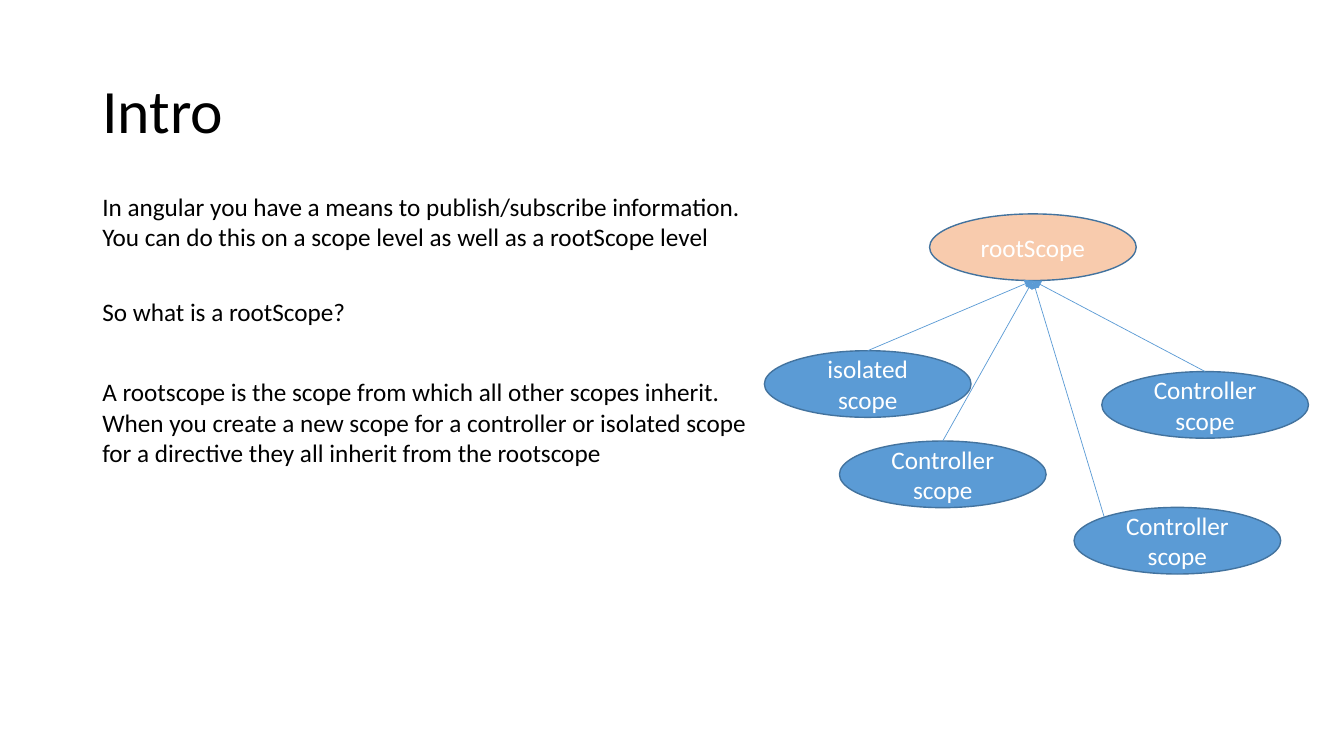
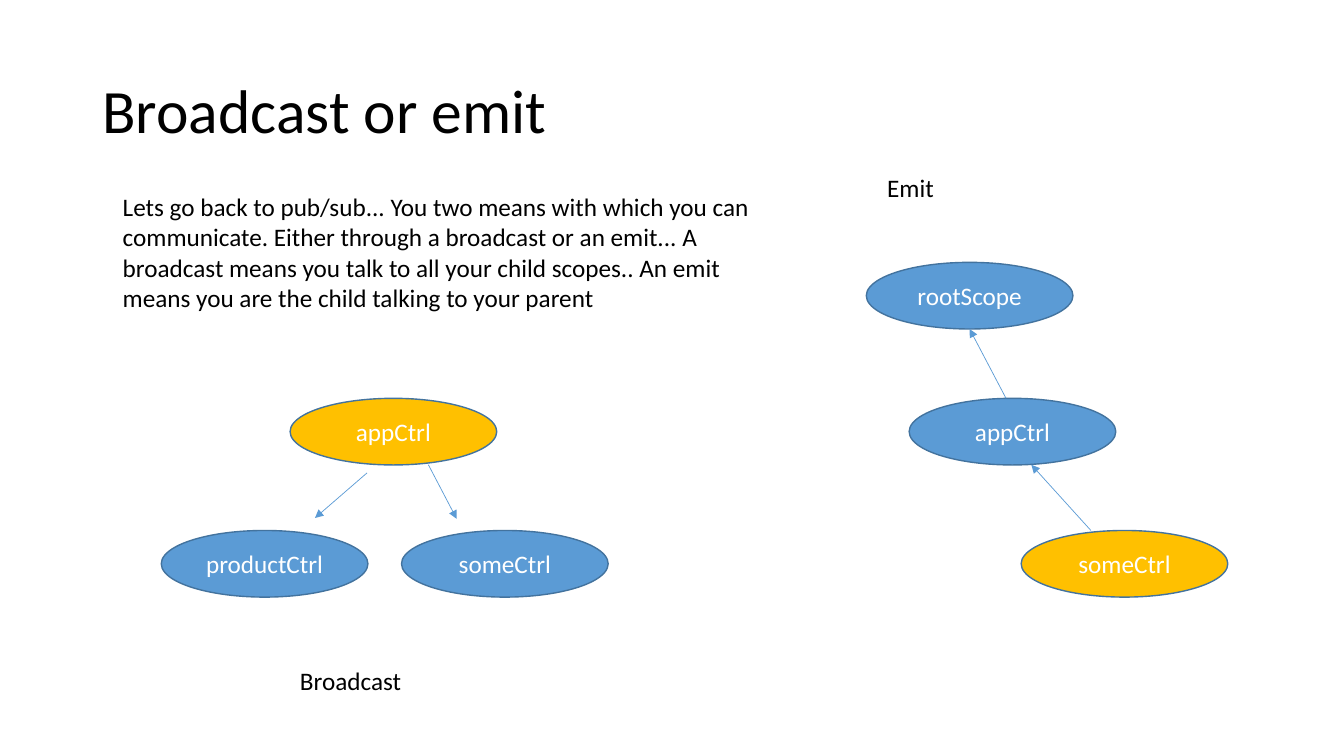
from pptx import Presentation
from pptx.dml.color import RGBColor
from pptx.enum.shapes import MSO_CONNECTOR as Connector, MSO_SHAPE as Shape
from pptx.enum.text import MSO_ANCHOR as Anchor, MSO_AUTO_SIZE as AutoSize, PP_ALIGN as Align
from pptx.oxml.ns import qn
from pptx.util import Pt
from lxml.etree import SubElement

FONT = "Calibri"
BLACK, WHITE = "000000", "FFFFFF"
BLUE, OUTLINE, PEACH, AMBER = "5B9BD5", "43739E", "F8CBAD", "FFC000"
SLIDE_SIZE = (960, 540)
TITLE_BOX = (66, 28.75, 828, 104.4)
SCOPE_W, SCOPE_H = 147.6, 47.6
NOTE_W = 480
LINE_H, INSETS = 21.8, 7.2

# Connection sites of an ellipse: number -> share of its width and height
TOP, TOP_LEFT, BOTTOM = 0, 1, 4
SITES = {TOP: (0.5, 0), TOP_LEFT: (0.146, 0.146), BOTTOM: (0.5, 1)}

# notes: text, left, top, lines, width (None = unwrapped label of label_width)
# scopes: key -> text, left, top, fill
# arrows: from, to; each end is a point or a (scope key, site) pair
SLIDES = [
    {
        "title": "Intro",
        "notes": [
            ("In angular you have a means to publish/subscribe information. You can do "
             "this on a scope level as well as a rootScope level", 66, 133.2, 2, NOTE_W, True),
            ("So what is a rootScope?", 66, 208.3, 1, 190, False),
            ("A rootscope is the scope from which all other scopes inherit. When you create "
             "a new scope for a controller or isolated scope for a directive they all inherit "
             "from the rootscope", 66, 265.5, 3, NOTE_W, True),
        ],
        "scopes": {
            "middle": ("Controller\nscope", 599.6, 315, BLUE),
            "lowest": ("Controller\nscope", 767.2, 362.4, BLUE),
            "right": ("Controller\nscope", 787, 265.4, BLUE),
            "root": ("rootScope", 664, 152.8, PEACH),
            "isolated": ("isolated\nscope", 546, 250.5, BLUE),
        },
        "arrows": [
            (("isolated", TOP), ("root", BOTTOM)),
            (("right", TOP), ("root", BOTTOM)),
            (("middle", TOP), ("root", BOTTOM)),
            (("lowest", TOP_LEFT), ("root", BOTTOM)),
        ],
    },
    {
        "title": "Broadcast or emit",
        "notes": [
            ("Lets go back to pub/sub... You two means with which you can communicate. Either "
             "through a broadcast or an emit... A broadcast means you talk to all your child "
             "scopes.. An emit means you are the child talking to your parent",
             80.6, 133.2, 4, NOTE_W, True),
            ("Broadcast", 207.2, 471.4, 1, 88, False),
            ("Emit", 626.6, 119.7, 1, 48, False),
        ],
        "scopes": {
            "sender": ("appCtrl", 207.2, 284.5, AMBER),
            "product": ("productCtrl", 115.2, 378.9, BLUE),
            "some": ("someCtrl", 286.8, 378.9, BLUE),
            "parent": ("appCtrl", 649.4, 284.5, BLUE),
            "emitter": ("someCtrl", 729.4, 378.9, AMBER),
            "root": ("rootScope", 618.8, 187.4, BLUE),
        },
        "arrows": [
            ((262.2, 337.8), (225, 370)),
            ((306, 332), (326.2, 370.6)),
            ((779.2, 378.9), (736.7, 332)),
            ((718.6, 284.5), ("root", BOTTOM)),
        ],
    },
]


def rgb(code):
    """Turn a hex string into a colour."""
    return RGBColor.from_string(code)


def place(shape, left, top, width, height):
    """Set the position and size of a shape in points."""
    shape.left, shape.top = Pt(left), Pt(top)
    shape.width, shape.height = Pt(width), Pt(height)


def write(shape, text, size=18, color=BLACK, align=Align.LEFT, anchor=Anchor.TOP,
          spacing=1.0, wrap=True, autosize=AutoSize.NONE):
    """Write text into a shape, one paragraph per line, in the given format."""
    frame = shape.text_frame
    frame.text = text
    frame.word_wrap, frame.auto_size = wrap, autosize
    frame.vertical_anchor = anchor
    for paragraph in frame.paragraphs:
        paragraph.alignment, paragraph.line_spacing = align, spacing
        for run in paragraph.runs:
            run.font.name, run.font.size = FONT, Pt(size)
            run.font.color.rgb = rgb(color)


def add_note(slide, text, left, top, lines, width, wrap):
    """Add a text box tall enough for its lines."""
    box = slide.shapes.add_textbox(0, 0, 0, 0)
    place(box, left, top, width, lines * LINE_H + INSETS)
    write(box, text, wrap=wrap, autosize=AutoSize.SHAPE_TO_FIT_TEXT)


def add_scope(slide, text, left, top, fill):
    """Add one scope ellipse and return it."""
    scope = slide.shapes.add_shape(Shape.OVAL, Pt(left), Pt(top), Pt(SCOPE_W), Pt(SCOPE_H))
    scope.shadow.inherit = False
    scope.fill.solid()
    scope.fill.fore_color.rgb = rgb(fill)
    scope.line.color.rgb, scope.line.width = rgb(OUTLINE), Pt(1)
    write(scope, text, color=WHITE, align=Align.CENTER, anchor=Anchor.MIDDLE)
    return scope


def locate(end, scopes):
    """Return the point of an arrow end and the scope it is tied to, if any."""
    if end[0] not in scopes:
        return Pt(end[0]), Pt(end[1]), None
    scope = scopes[end[0]]
    across, down = SITES[end[1]]
    return (int(scope.left + across * scope.width),
            int(scope.top + down * scope.height), scope)


def add_arrow(slide, ends, scopes):
    """Draw an arrow between two ends and tie it to the scopes it touches."""
    (x1, y1, source), (x2, y2, target) = [locate(end, scopes) for end in ends]
    arrow = slide.shapes.add_connector(Connector.STRAIGHT, x1, y1, x2, y2)
    arrow.line.color.rgb, arrow.line.width = rgb(BLUE), Pt(0.5)
    SubElement(arrow.line._get_or_add_ln(), qn("a:tailEnd"), type="triangle")
    SubElement(arrow._element.spPr, qn("a:effectLst"))
    ties = arrow._element.nvCxnSpPr.cNvCxnSpPr
    for tag, scope, end in zip(("a:stCxn", "a:endCxn"), (source, target), ends):
        if scope is not None:
            SubElement(ties, qn(tag), id=str(scope.shape_id), idx=str(end[1]))


def build_slide(deck, content):
    """Build one slide from its content."""
    slide = deck.slides.add_slide(deck.slide_layouts[5])
    place(slide.shapes.title, *TITLE_BOX)
    write(slide.shapes.title, content["title"], size=44, anchor=Anchor.MIDDLE, spacing=0.9)
    for note in content["notes"]:
        add_note(slide, *note)
    scopes = {key: add_scope(slide, *scope) for key, scope in content["scopes"].items()}
    for ends in content["arrows"]:
        add_arrow(slide, ends, scopes)


deck = Presentation()
deck.slide_width, deck.slide_height = [Pt(side) for side in SLIDE_SIZE]
for content in SLIDES:
    build_slide(deck, content)
deck.save("out.pptx")
